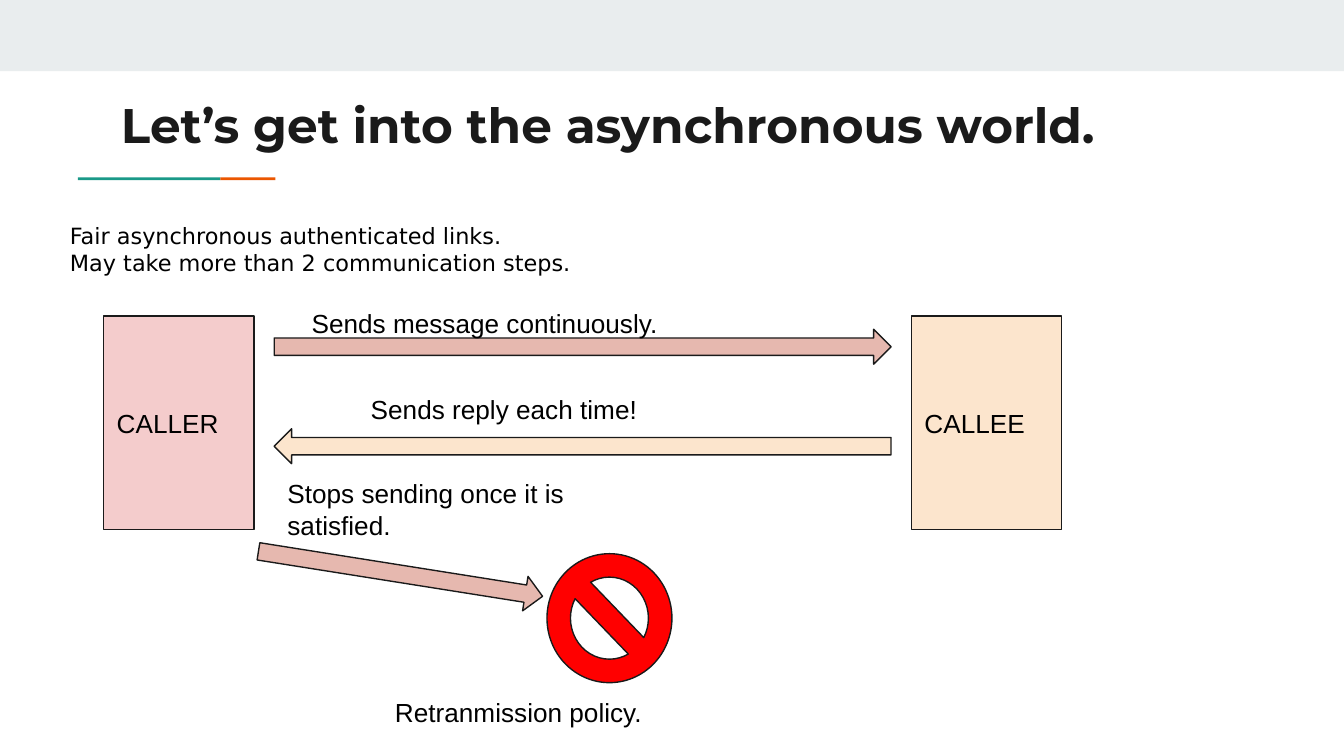
from pptx import Presentation
from pptx.dml.color import RGBColor
from pptx.enum.shapes import MSO_SHAPE
from pptx.enum.text import MSO_ANCHOR, MSO_AUTO_SIZE, PP_ALIGN
from pptx.util import Inches, Pt
from lxml import etree

RECT, ARROW, STOP = MSO_SHAPE.RECTANGLE, MSO_SHAPE.RIGHT_ARROW, MSO_SHAPE.NO_SYMBOL
TOP, MIDDLE, LEFT = MSO_ANCHOR.TOP, MSO_ANCHOR.MIDDLE, PP_ALIGN.LEFT
NO_FIT = MSO_AUTO_SIZE.NONE

INK, BLACK = "1A1A1A", "000000"
BAND, TEAL, ORANGE = "E9EDEE", "1A9988", "EB5600"
PINK, ROSE, CREAM, RED = "F4CCCC", "E6B8AF", "FCE5CD", "FF0000"


def color(value):
    return RGBColor.from_string(value)


def write(shape, text, size=14, font="Arial", ink=BLACK, bold=False, anchor=TOP):
    frame = shape.text_frame
    frame.text = text
    frame.word_wrap = True
    frame.auto_size = NO_FIT
    frame.vertical_anchor = anchor
    frame.margin_left = frame.margin_right = Inches(0.1)
    frame.margin_top = frame.margin_bottom = Inches(0.1)
    for paragraph in frame.paragraphs:
        paragraph.alignment = LEFT
        paragraph.space_before = Pt(0)
        for run in paragraph.runs:
            run.font.size = Pt(size)
            run.font.name = font
            run.font.bold = bold
            run.font.color.rgb = color(ink)


def add_figure(slide, kind, box, fill, outlined=True, rotation=0):
    figure = slide.shapes.add_shape(kind, *map(Inches, box))
    figure.shadow.inherit = False
    figure.rotation = rotation
    figure.fill.solid()
    figure.fill.fore_color.rgb = color(fill)
    if outlined:
        figure.line.color.rgb = color(INK)
        figure.line.width = Pt(0.75)
    else:
        figure.line.fill.background()
    return figure


def add_caption(slide, text, box):
    write(slide.shapes.add_textbox(*map(Inches, box)), text)


def place(placeholder, box):
    placeholder.left, placeholder.top, placeholder.width, placeholder.height = map(Inches, box)


def build_heading(slide, box):
    left, top, width, height = box
    # Band across the top and two-colour rule under the title
    add_figure(slide, RECT, (0, 0, 10, 0.53), BAND, outlined=False)
    rule_left, rule_top = left - 0.22, top + 0.71
    add_figure(slide, RECT, (rule_left, rule_top, 1.06, 0.02), TEAL, outlined=False)
    add_figure(slide, RECT, (rule_left + 1.06, rule_top, 0.41, 0.02), ORANGE, outlined=False)
    place(slide.shapes.title, box)
    write(slide.shapes.title, "Let\u2019s get into the asynchronous world.",
          26, "Montserrat", INK, bold=True)


def build_assumptions(slide, box):
    assumptions = slide.placeholders[1]
    place(assumptions, box)
    write(assumptions, "Fair asynchronous authenticated links.\n"
          "May take more than 2 communication steps.", 12, "DejaVu Sans")
    # Plain lines without bullets
    for paragraph in assumptions.text_frame.paragraphs:
        properties = paragraph._p.get_or_add_pPr()
        properties.set("marL", "0")
        properties.set("indent", "0")
        etree.SubElement(properties, "{http://schemas.openxmlformats.org/drawingml/2006/main}buNone")


def build_exchange(slide, box):
    left, top, width, height = box
    party_width, gap = 1.12, 0.15
    lane_left = left + party_width + gap
    lane_width = width - 2 * (party_width + gap)

    # Message and reply
    add_figure(slide, ARROW, (lane_left, top + 0.1, lane_width, 0.26), ROSE)
    add_caption(slide, "Sends message continuously.", (left + 1.45, top - 0.16, 4.52, 0.2))
    add_figure(slide, ARROW, (lane_left, top + 0.84, lane_width, 0.26), CREAM, rotation=180)
    add_caption(slide, "Sends reply each time!", (left + 1.89, top + 0.51, 2.25, 0.13))

    # Both parties
    parties = (("CALLER", left, PINK), ("CALLEE", left + width - party_width, CREAM))
    for name, party_left, fill in parties:
        party = add_figure(slide, RECT, (party_left, top, party_width, height), fill)
        write(party, name, anchor=MIDDLE)


def build_stop(slide, box):
    left, top, width, height = box
    sign = add_figure(slide, STOP, (left + 2.16, top + 0.63, 0.93, 0.96), RED)
    sign.adjustments[0] = 0.188
    add_figure(slide, ARROW, (left, top + 0.65, 2.14, 0.26), ROSE, rotation=9)
    add_caption(slide, "Stops sending once it is satisfied.", (left + 0.13, top, 2.63, 0.13))
    add_caption(slide, "Retranmission policy.", (left + 0.93, top + height - 0.32, 3.28, 0.32))


deck = Presentation()
deck.slide_width = Inches(10)
deck.slide_height = deck.slide_width * 9 // 16
slide = deck.slides.add_slide(deck.slide_layouts[1])
build_heading(slide, (0.8, 0.61, 8.41, 0.59))
build_assumptions(slide, (0.42, 1.55, 9.32, 0.71))
build_exchange(slide, (0.77, 2.35, 7.13, 1.59))
build_stop(slide, (1.91, 3.49, 4.21, 1.91))
deck.save("out.pptx")
